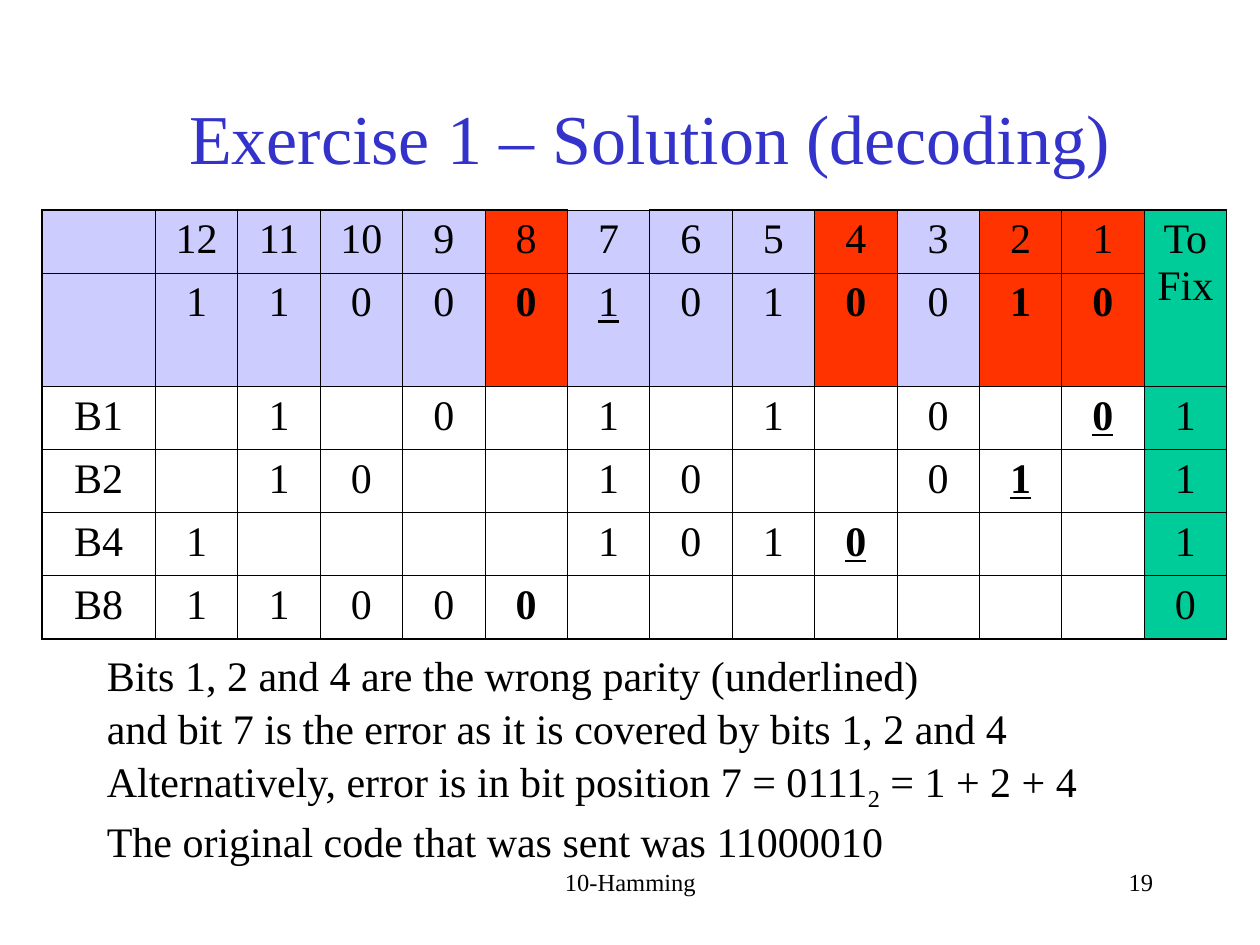
"""Build the Hamming code decoding solution slide."""
from dataclasses import dataclass
from typing import Any

from lxml import etree
from pptx import Presentation
from pptx import util as u
from pptx.dml.color import RGBColor
from pptx.enum import text
from pptx.oxml.ns import qn


@dataclass(frozen=True)
class Theme:
    font: str = "Times New Roman"
    ink: str = "000000"
    title: str = "3333CC"
    data: str = "CCCCFF"
    parity: str = "FF3300"
    fix: str = "00CC99"
    title_size: float = 40
    body_size: float = 24
    footer_size: float = 14
    thin: float = 0.45
    thick: float = 1.08


@dataclass(frozen=True)
class Label:
    box: tuple[float, float, float, float]
    lines: list[list[str]]
    size: float
    color: str
    align: Any
    anchor: Any = text.MSO_ANCHOR.TOP
    wrap: bool = True
    spacing: float = 1.0


T = Theme()
AL = text.PP_ALIGN
LABELS = [
    Label((246.25, 492, 228, 36), [["10-Hamming"]], T.footer_size, T.ink, AL.CENTER),
    Label((516, 492, 150, 36), [["19"]], T.footer_size, T.ink, AL.RIGHT),
    Label((64.8, 48, 612.7, 60), [["Exercise 1 – Solution (decoding)"]],
          T.title_size, T.title, AL.CENTER, text.MSO_ANCHOR.MIDDLE),
    Label((54, 366, 571.7, 126.7), [
        ["Bits 1, 2 and 4 are the wrong parity (underlined)"],
        ["and bit 7 is the error as it is covered by bits 1, 2 and 4"],
        ["Alternatively, error is in bit position 7 = 0111", "_2", " = 1 + 2 + 4"],
        ["The original code that was sent was 11000010"],
    ], T.body_size, T.ink, AL.LEFT, wrap=False, spacing=1.05),
]
GRID = [row.split("|") for row in (
    "|12|11|10|9|8|7|6|5|4|3|2|1|To Fix",
    "|1|1|0|0|0|_1|0|1|0|0|1|0|",
    "B1||1||0||1||1||0||_0|1",
    "B2||1|0|||1|0|||0|_1||1",
    "B4|1|||||1|0|1|_0||||1",
    "B8|1|1|0|0|0||||||||0",
)]
ROW_HEIGHTS = [36, 64.8, 36, 36, 36, 36]
COL_WIDTHS = [64.8] + [47.1] * 13
LAST_ROW, LAST_COL = len(ROW_HEIGHTS) - 1, len(COL_WIDTHS) - 1
PARITY_COLS = {5, 9, 11, 12}
ERROR_COL = 6


def add_run(p: Any, words: str, size: float, color: str, **extra: Any) -> Any:
    """Add a run to a paragraph with the theme font."""
    r = p.add_run()
    r.text = words
    for key, value in {"name": T.font, "size": u.Pt(size), **extra}.items():
        setattr(r.font, key, value)
    r.font.color.rgb = RGBColor.from_string(color)
    return r


def add_label(s: Any, label: Label) -> None:
    """Draw a text box; a leading underscore marks a subscript."""
    tf = s.shapes.add_textbox(*map(u.Pt, label.box)).text_frame
    fmt = {"word_wrap": label.wrap, "vertical_anchor": label.anchor}
    if not label.wrap:
        fmt["auto_size"] = text.MSO_AUTO_SIZE.SHAPE_TO_FIT_TEXT
    for key, value in fmt.items():
        setattr(tf, key, value)
    for i, line in enumerate(label.lines):
        p = tf.add_paragraph() if i else tf.paragraphs[0]
        p.alignment = label.align
        if label.spacing != 1:
            p.line_spacing = label.spacing
        for words in line:
            r = add_run(p, words.lstrip("_"), label.size, label.color)
            if words.startswith("_"):
                r.font._element.set("baseline", "-25000")


def set_borders(cell: Any, row: int, col: int) -> None:
    """Rule a cell, with a heavier line round the table edge."""
    outer = {"L": col == 0, "R": col == LAST_COL,
             "T": row == 0 and col != ERROR_COL, "B": row == LAST_ROW}
    pr = cell._tc.get_or_add_tcPr()
    for side, heavy in outer.items():
        width = u.Pt(T.thick if heavy else T.thin)
        ln = etree.SubElement(pr, qn(f"a:ln{side}"), w=str(int(width)))
        fill = etree.SubElement(ln, qn("a:solidFill"))
        etree.SubElement(fill, qn("a:srgbClr"), val=T.ink)


def cell_color(row: int, col: int) -> str | None:
    """Return the fill colour of a cell, or None."""
    if col == LAST_COL:
        return T.fix
    if row > 1:
        return None
    return T.parity if col in PARITY_COLS else T.data


def fill_cell(cell: Any, row: int, col: int) -> None:
    """Format one cell; a leading underscore marks underlined text."""
    set_borders(cell, row, col)
    color = cell_color(row, col)
    if color:
        cell.fill.solid()
        cell.fill.fore_color.rgb = RGBColor.from_string(color)
    else:
        cell.fill.background()
    words = GRID[row][col]
    if words:
        p = cell.text_frame.paragraphs[0]
        p.alignment = AL.CENTER
        add_run(p, words.lstrip("_"), T.body_size, T.ink,
                bold=row > 0 and col in PARITY_COLS,
                underline=words.startswith("_"))


def add_grid(s: Any) -> None:
    """Draw the parity check table."""
    size = (sum(COL_WIDTHS), sum(ROW_HEIGHTS))
    table = s.shapes.add_table(LAST_ROW + 1, LAST_COL + 1,
                               *map(u.Pt, (24, 120, *size))).table
    for key in ("first_row", "horz_banding"):
        setattr(table, key, False)
    for column, width in zip(table.columns, COL_WIDTHS):
        column.width = u.Pt(width)
    for row, height in enumerate(ROW_HEIGHTS):
        table.rows[row].height = u.Pt(height)
        for col in range(LAST_COL + 1):
            fill_cell(table.cell(row, col), row, col)
    table.cell(0, LAST_COL).merge(table.cell(1, LAST_COL))


def main() -> None:
    """Build and save the slide."""
    prs = Presentation()
    prs.slide_width, prs.slide_height = u.Pt(720), u.Pt(540)
    s = prs.slides.add_slide(prs.slide_layouts[6])
    for label in LABELS[:-1]:
        add_label(s, label)
    add_grid(s)
    add_label(s, LABELS[-1])
    prs.save("out.pptx")


if __name__ == "__main__":
    main()
